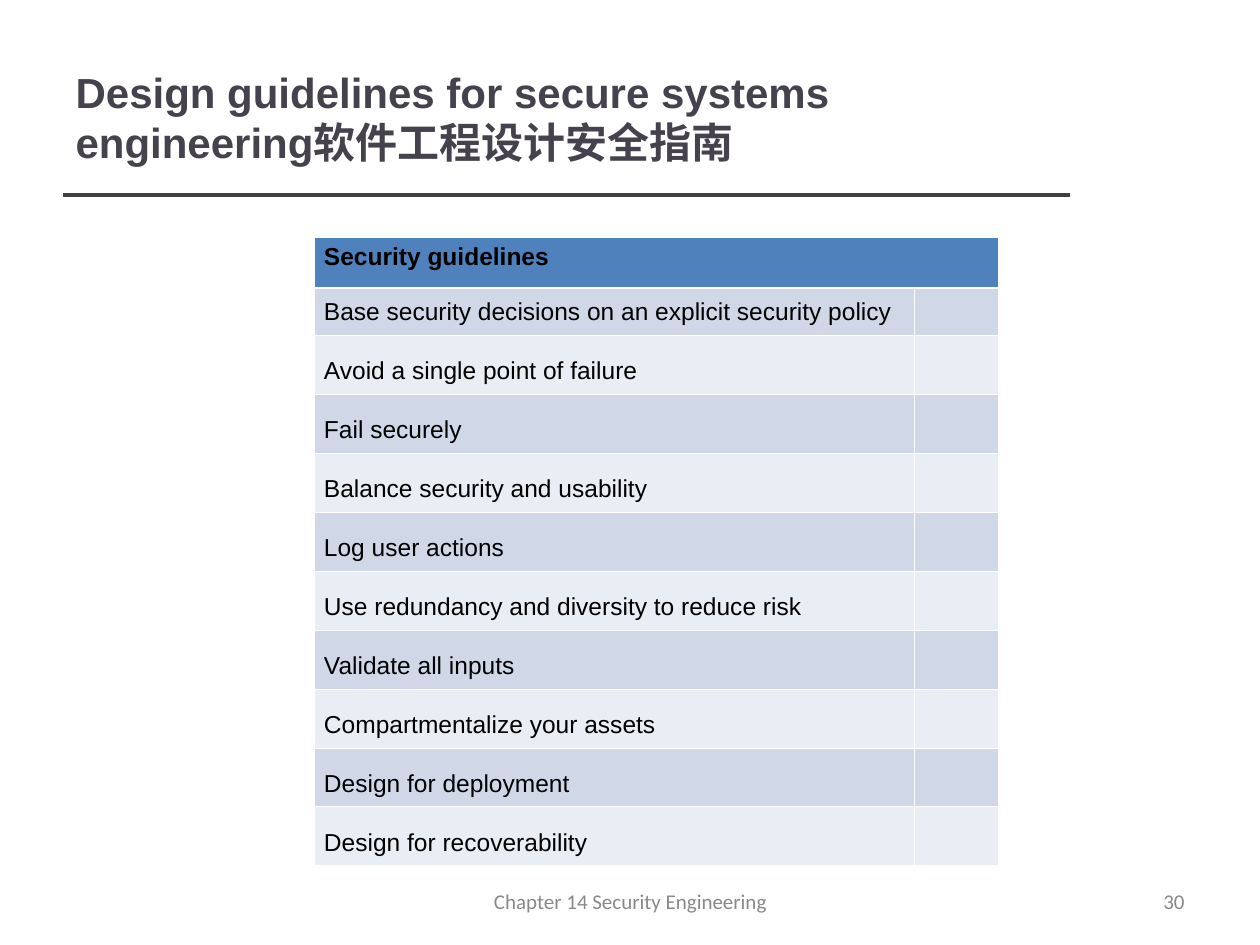
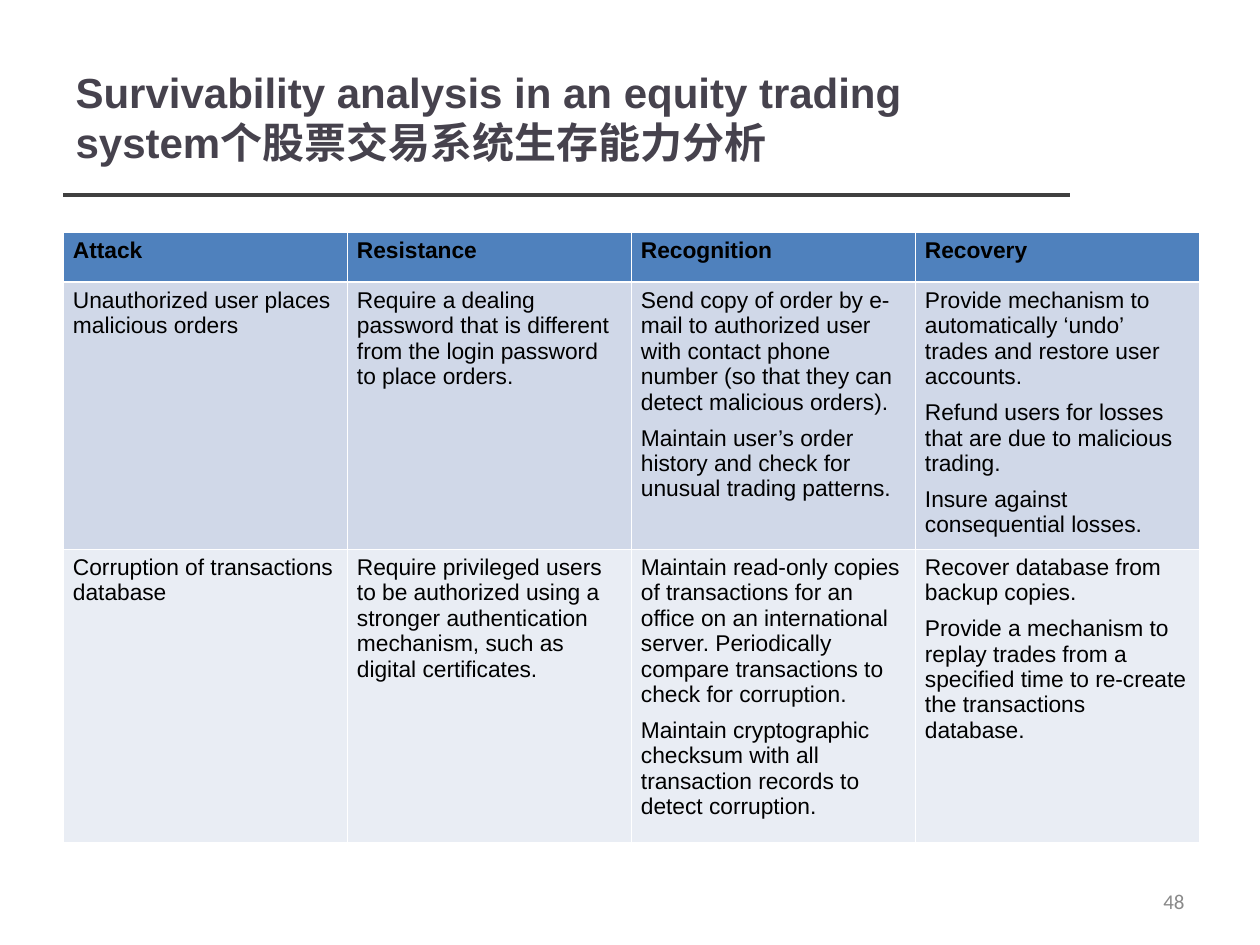
"""Build two security engineering slides with tables."""
from lxml.etree import SubElement as Sub
from pptx import Presentation
from pptx.dml.color import RGBColor as RGB
from pptx.enum.shapes import MSO_CONNECTOR as Link
from pptx.enum.text import MSO_ANCHOR as Anchor, MSO_AUTO_SIZE as Fit, PP_ALIGN as Align
from pptx.oxml.ns import qn
from pptx.util import Pt

HUES = {
    "title": "46424D", "rule": "404040", "foot": "898989", "text": "000000",
    "head": "4F81BD", "odd": "D0D8E8", "even": "E9EDF4", "edge": "FFFFFF",
}
RULES = [
    "Base security decisions on an explicit security policy",
    "Avoid a single point of failure",
    "Fail securely",
    "Balance security and usability",
    "Log user actions",
    "Use redundancy and diversity to reduce risk",
    "Validate all inputs",
    "Compartmentalize your assets",
    "Design for deployment",
    "Design for recoverability",
]
ATTACKS = [
    [["Attack"], ["Resistance"], ["Recognition"], ["Recovery"]],
    [
        ["Unauthorized user places malicious orders"],
        ["Require a dealing password that is different from the login password "
         "to place orders."],
        ["Send copy of order by e-mail to authorized user with contact phone "
         "number (so that they can detect malicious orders).",
         "Maintain user’s order history and check for unusual trading patterns."],
        ["Provide mechanism to automatically ‘undo’ trades and restore user accounts.",
         "Refund users for losses that are due to malicious trading.",
         "Insure against consequential losses."],
    ],
    [
        ["Corruption of transactions database"],
        ["Require privileged users to be authorized using a stronger "
         "authentication mechanism, such as digital certificates."],
        ["Maintain read-only copies of transactions for an office on an "
         "international server. Periodically compare transactions to check "
         "for corruption.",
         "Maintain cryptographic checksum with all transaction records to "
         "detect corruption."],
        ["Recover database from backup copies.",
         "Provide a mechanism to replay trades from a specified time to "
         "re-create the transactions database."],
    ],
]
SLIDES = [
    {
        "title": ["Design guidelines for secure systems engineering", "软件工程设计安全指南"],
        "foot": "Chapter 14 Security Engineering", "page": "30",
        "at": (314, 237), "cols": [600, 84], "rows": [51, 47] + [59] * 9,
        "cells": [[["Security guidelines"], []]] + [[[rule], []] for rule in RULES],
        "size": 14, "span": True, "mid": True, "align": Align.JUSTIFY,
        "gap": 0, "loose": 1.5,
    },
    {
        "title": ["Survivability analysis in an equity trading system", "个股票交易系统生存能力分析"],
        "foot": "", "page": "48",
        "at": (63, 232), "cols": [284] * 4, "rows": [50, 267, 293],
        "cells": ATTACKS,
        "size": 13, "span": False, "mid": False, "align": Align.LEFT,
        "gap": 6, "loose": None,
    },
]


def px(num):
    """Turn pixels into EMU."""
    return round(num * 914400 / 126)


def hue(name):
    """Look up a colour."""
    return RGB.from_string(HUES[name])


def write(para, text, size, tint, face="Arial", bold=False):
    """Add one formatted run."""
    run = para.add_run()
    run.text = text
    font = run.font
    font.size, font.name, font.bold = Pt(size), face, bold
    font.color.rgb = hue(tint)


def place(shape, left, top, wide, high):
    """Set the frame of a shape."""
    shape.left, shape.top = px(left), px(top)
    shape.width, shape.height = px(wide), px(high)


def head(slide, parts):
    """Draw the title and the rule below it."""
    line = slide.shapes.add_connector(Link.STRAIGHT, px(63), px(195), px(1070), px(195))
    line.line.color.rgb = hue("rule")
    line.line.width = Pt(2)
    Sub(line._element.spPr, qn("a:effectLst"))
    box = slide.shapes.title
    place(box, 63, 38, 1006, 157)
    frame = box.text_frame
    frame.auto_size, frame.word_wrap = Fit.NONE, True
    frame.vertical_anchor = Anchor.MIDDLE
    para = frame.paragraphs[0]
    para.alignment = Align.LEFT
    for part in parts:
        write(para, part, 24, "title", bold=True)


def foot(slide, text, left, wide, align):
    """Draw one footer text."""
    box = slide.shapes.add_textbox(px(left), px(876), px(wide), px(50))
    frame = box.text_frame
    frame.word_wrap = True
    frame.vertical_anchor = Anchor.MIDDLE
    para = frame.paragraphs[0]
    para.alignment = align
    write(para, text, 12, "foot", "Calibri")


def edge(cell, row):
    """Draw white borders, thicker under the head row."""
    props = cell._tc.get_or_add_tcPr()
    bold = {0: "B", 1: "T"}.get(row)
    for side in "LRTB":
        width = Pt(1.47 if side == bold else 0.45)
        line = Sub(props, qn(f"a:ln{side}"), w=str(width))
        fill = Sub(line, qn("a:solidFill"))
        Sub(fill, qn("a:srgbClr"), val=HUES["edge"])


def fill(cell, texts, row, data):
    """Format one cell and write its paragraphs."""
    edge(cell, row)
    cell.fill.solid()
    cell.fill.fore_color.rgb = hue("head" if row == 0 else "odd" if row % 2 else "even")
    cell.margin_left = cell.margin_right = px(10)
    cell.margin_top = cell.margin_bottom = px(6)
    cell.vertical_anchor = Anchor.MIDDLE if data["mid"] and row else Anchor.TOP
    frame = cell.text_frame
    if not texts:
        Sub(frame.paragraphs[0]._p, qn("a:endParaRPr"), sz=str(data["size"] * 100))
    for num, text in enumerate(texts):
        para = frame.add_paragraph() if num else frame.paragraphs[0]
        para.alignment = data["align"] if row else Align.JUSTIFY
        if row:
            para.space_before = Pt(data["gap"])
        if row > 1 and data["loose"]:
            para.line_spacing = data["loose"]
        write(para, text, data["size"], "text", bold=row == 0)


def grid(slide, data):
    """Draw the table."""
    cols, rows = data["cols"], data["rows"]
    spot = [px(num) for num in (*data["at"], sum(cols), sum(rows))]
    table = slide.shapes.add_table(len(rows), len(cols), *spot).table
    for col, wide in zip(table.columns, cols):
        col.width = px(wide)
    for row, high in zip(table.rows, rows):
        row.height = px(high)
    if data["span"]:
        table.cell(0, 0).merge(table.cell(0, len(cols) - 1))
    for row, cells in enumerate(data["cells"]):
        for col, texts in enumerate(cells):
            fill(table.cell(row, col), texts, row, data)


def main():
    """Build and save the deck."""
    deck = Presentation()
    deck.slide_width, deck.slide_height = px(1260), px(945)
    for data in SLIDES:
        slide = deck.slides.add_slide(deck.slide_layouts[5])
        head(slide, data["title"])
        grid(slide, data)
        if data["foot"]:
            foot(slide, data["foot"], 431, 399, Align.CENTER)
        foot(slide, data["page"], 903, 294, Align.RIGHT)
    deck.save("out.pptx")


if __name__ == "__main__":
    main()
